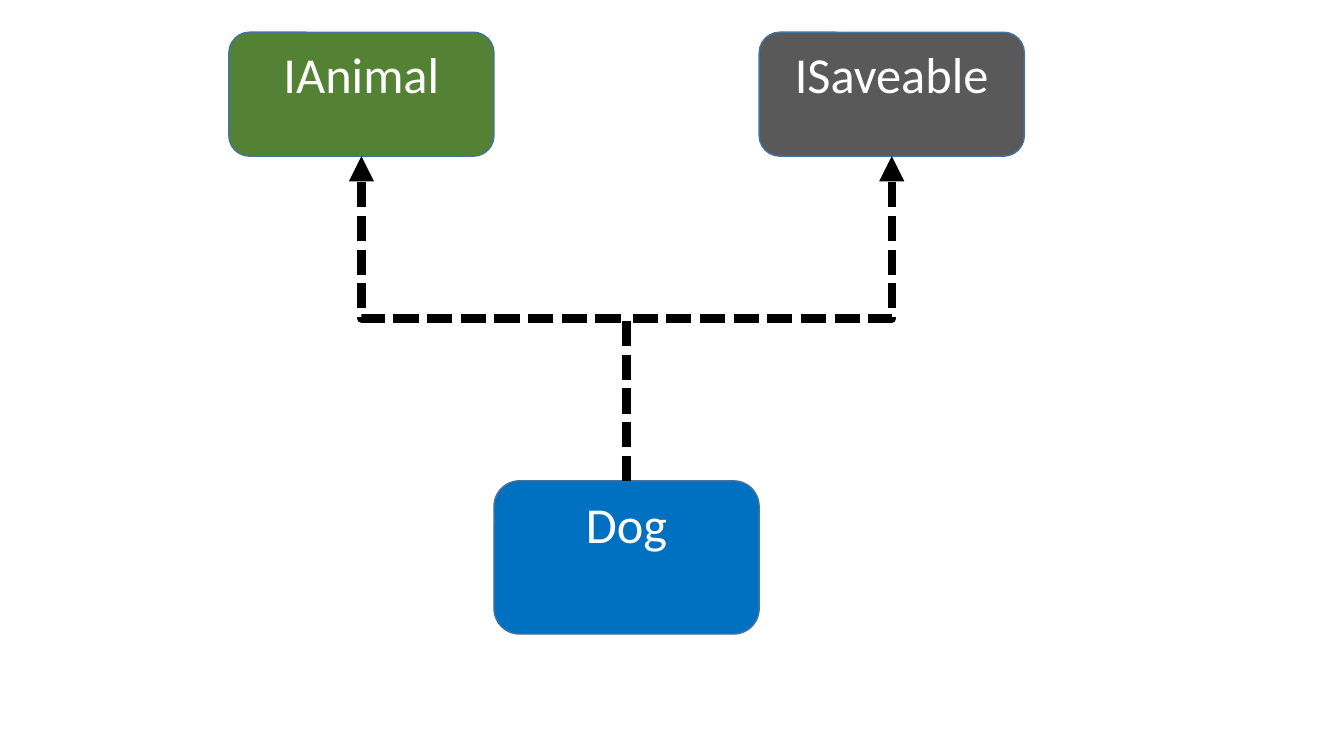
from dataclasses import dataclass

from lxml.etree import SubElement
from pptx import Presentation
from pptx.dml.color import RGBColor
from pptx.enum.dml import MSO_LINE
from pptx.enum.shapes import MSO_CONNECTOR, MSO_SHAPE
from pptx.enum.text import MSO_ANCHOR, PP_ALIGN
from pptx.oxml.ns import qn
from pptx.util import Inches, Pt


@dataclass(frozen=True)
class Theme:
    font: str = "Calibri"
    label_size: int = 36
    label_color: str = "FFFFFF"
    outline: str = "43739E"
    outline_width: int = 1
    arrow: str = "000000"
    arrow_width: int = 6
    animal: str = "548235"
    saveable: str = "595959"
    dog: str = "0070C0"


class ClassDiagram:
    TOP_SITE, BOTTOM_SITE = 0, 2

    def __init__(self, slide, theme):
        self.slide = slide
        self.theme = theme

    def type_box(self, name, left, top, width, height, color):
        shape = self.slide.shapes.add_shape(
            MSO_SHAPE.ROUNDED_RECTANGLE,
            Inches(left), Inches(top), Inches(width), Inches(height))
        shape.shadow.inherit = False
        shape.fill.solid()
        shape.fill.fore_color.rgb = RGBColor.from_string(color)
        shape.line.color.rgb = RGBColor.from_string(self.theme.outline)
        shape.line.width = Pt(self.theme.outline_width)

        frame = shape.text_frame
        frame.word_wrap = True
        frame.vertical_anchor = MSO_ANCHOR.TOP
        paragraph = frame.paragraphs[0]
        paragraph.text = name
        paragraph.alignment = PP_ALIGN.CENTER
        paragraph.font.name = self.theme.font
        paragraph.font.size = Pt(self.theme.label_size)
        paragraph.font.color.rgb = RGBColor.from_string(self.theme.label_color)
        return shape

    def implements_arrow(self, child, interface):
        """Glue a dotted elbow arrow from the child's top to the interface's bottom."""
        connector = self.slide.shapes.add_connector(MSO_CONNECTOR.ELBOW, 0, 0, 0, 0)
        connector.begin_connect(child, self.TOP_SITE)
        connector.end_connect(interface, self.BOTTOM_SITE)
        self.turn_upright(connector)

        connector.line.color.rgb = RGBColor.from_string(self.theme.arrow)
        connector.line.width = Pt(self.theme.arrow_width)
        connector.line.dash_style = MSO_LINE.SQUARE_DOT
        properties = connector._element.spPr
        SubElement(properties.find(qn("a:ln")), qn("a:tailEnd"), type="triangle")
        SubElement(properties, qn("a:effectLst"))

    @staticmethod
    def turn_upright(connector):
        """Rotate an elbow by 270 degrees so that it leaves and arrives vertically."""
        middle_x = (connector.begin_x + connector.end_x) // 2
        middle_y = (connector.begin_y + connector.end_y) // 2
        half_rise = (connector.begin_y - connector.end_y) // 2
        half_run = (connector.begin_x - connector.end_x) // 2
        connector.begin_x = middle_x - half_rise
        connector.end_x = middle_x + half_rise
        connector.begin_y = middle_y + half_run
        connector.end_y = middle_y - half_run
        connector._element.spPr.find(qn("a:xfrm")).set("rot", str(270 * 60000))


def main():
    presentation = Presentation()
    presentation.slide_width = Inches(13.33)
    presentation.slide_height = Inches(7.5)
    blank_layout = presentation.slide_layouts[6]
    theme = Theme()
    diagram = ClassDiagram(presentation.slides.add_slide(blank_layout), theme)

    left, box_width = 2.27, 2.63
    interface_top, interface_height = 0.32, 1.23
    dog = diagram.type_box("Dog", left + box_width, 4.77, box_width, 1.52, theme.dog)
    interfaces = [("IAnimal", 0, theme.animal), ("ISaveable", 2, theme.saveable)]
    for name, column, color in interfaces:
        interface = diagram.type_box(
            name, left + column * box_width, interface_top,
            box_width, interface_height, color)
        diagram.implements_arrow(dog, interface)

    presentation.save("out.pptx")


if __name__ == "__main__":
    main()
